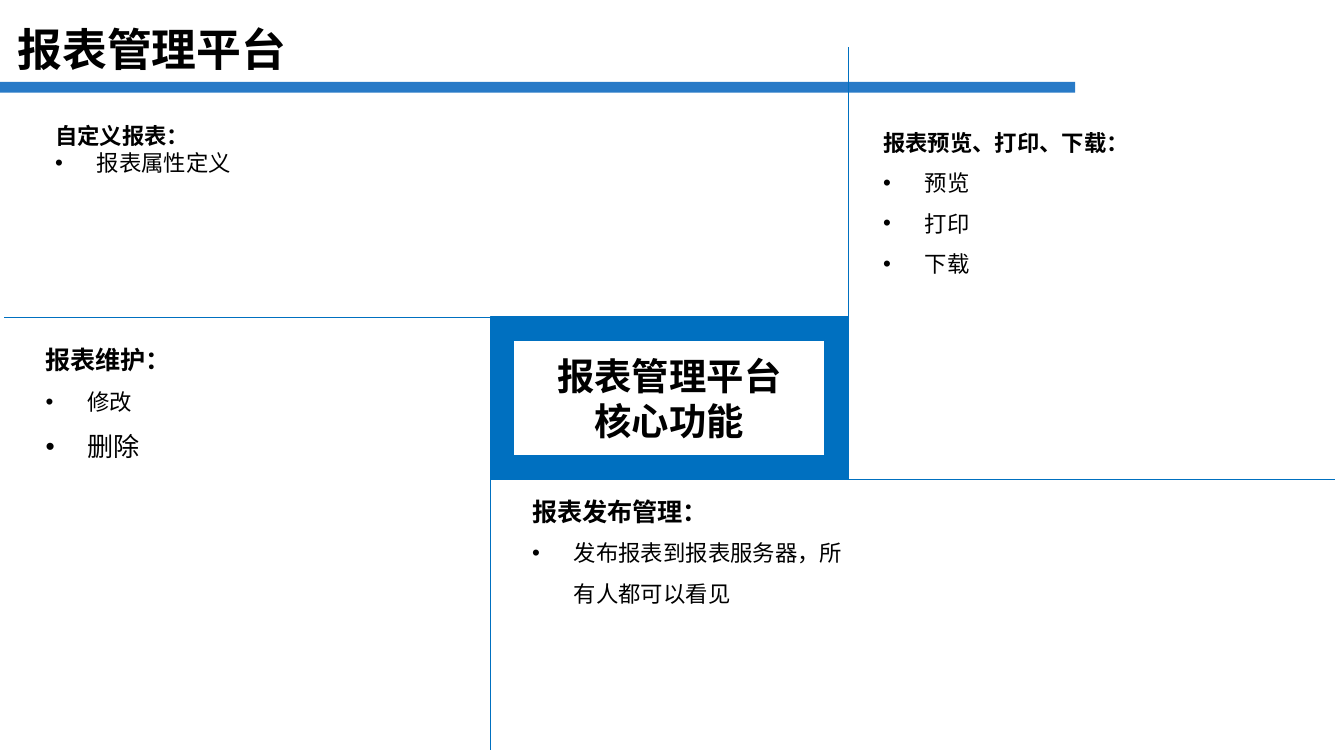
"""Build the report platform slide with four function areas around a core box."""
from dataclasses import dataclass

from lxml import etree
from pptx import Presentation
from pptx.dml.color import RGBColor
from pptx.enum.shapes import MSO_CONNECTOR, MSO_SHAPE
from pptx.enum.text import MSO_ANCHOR, MSO_AUTO_SIZE, PP_ALIGN
from pptx.oxml.ns import qn
from pptx.util import Inches, Pt

RECTANGLE, STRAIGHT = MSO_SHAPE.RECTANGLE, MSO_CONNECTOR.STRAIGHT
TOP, MIDDLE = MSO_ANCHOR.TOP, MSO_ANCHOR.MIDDLE
LEFT, CENTER = PP_ALIGN.LEFT, PP_ALIGN.CENTER
NO_AUTOFIT = MSO_AUTO_SIZE.NONE

WIDTH = 10
HEIGHT = WIDTH * 9 / 16
BLUE, BAR_BLUE, WHITE, BLACK = "0070C0", "287AC7", "FFFFFF", "000000"
LATIN, CHINESE = "Calibri", "Noto Sans CJK SC"
CORE_LEFT, CORE_TOP, CORE_WIDTH, CORE_HEIGHT = 3.65, 2.36, 2.66, 1.2
CORE_RIGHT, CORE_BOTTOM = CORE_LEFT + CORE_WIDTH, 3.57
BORDER = 0.17
INDENT = 0.31
ARM_ACROSS, ARM_DOWN = 6.28, 3.22


@dataclass
class Line:
    text: str
    size: float = 12
    spacing: float = 1.5
    bold: bool = False
    bullet: bool = True
    align: int = LEFT
    font: str = LATIN


@dataclass
class Area:
    box: tuple[float, float, float, float]
    lines: list[Line]


def heading(text: str, size: float = 12, spacing: float = 1.5, **options) -> Line:
    """Return a bold line without a bullet."""
    return Line(text, size, spacing, bold=True, bullet=False, **options)


AREAS = [
    Area((0.31, 0.86, 5.6, 0.5),
         [heading("自定义报表：", spacing=1), Line("报表属性定义", spacing=1)]),
    Area((6.47, 0.81, 2.64, 1.31),
         [heading("报表预览、打印、下载："), Line("预览"), Line("打印"), Line("下载")]),
    Area((0.24, 2.4, 2.64, 1.3),
         [heading("报表维护：", 13.5), Line("修改"), Line("删除", 14)]),
    Area((3.86, 3.64, 2.64, 1.16),
         [heading("报表发布管理：", 13.5, 1), Line("发布报表到报表服务器，所有人都可以看见")]),
]


def color(value: str) -> RGBColor:
    """Return the colour for a hex string."""
    return RGBColor.from_string(value)


def apply(target, values: dict) -> None:
    """Set every attribute named in the dict."""
    for name, value in values.items():
        setattr(target, name, value)


def place(shape, box: tuple[float, float, float, float]) -> None:
    """Move and size a shape in inches."""
    apply(shape, dict(zip(("left", "top", "width", "height"), map(Inches, box))))


def write(shape, lines: list[Line], anchor: int) -> None:
    """Fill a shape with formatted paragraphs."""
    frame = shape.text_frame
    apply(frame, {"word_wrap": True, "auto_size": NO_AUTOFIT, "vertical_anchor": anchor})
    for index, line in enumerate(lines):
        paragraph = frame.add_paragraph() if index else frame.paragraphs[0]
        apply(paragraph, {"alignment": line.align, "line_spacing": line.spacing,
                          "space_before": Pt(0), "space_after": Pt(0)})
        run = paragraph.add_run()
        run.text = line.text
        apply(run.font, {"size": Pt(line.size), "bold": line.bold, "name": line.font})
        run.font.color.rgb = color(BLACK)
        etree.SubElement(run.font._element, qn("a:ea"), typeface=CHINESE)
        properties = paragraph._p.get_or_add_pPr()
        indent = Inches(INDENT) if line.bullet else 0
        properties.set("marL", str(indent))
        properties.set("indent", str(-indent))
        if line.bullet:
            etree.SubElement(properties, qn("a:buFont"), typeface="Arial")
            etree.SubElement(properties, qn("a:buChar"), char="•")
        else:
            etree.SubElement(properties, qn("a:buNone"))


def add_block(shapes, box: tuple[float, float, float, float], fill: str, outline: str | None = None):
    """Add a flat rectangle."""
    block = shapes.add_shape(RECTANGLE, *map(Inches, box))
    block.shadow.inherit = False
    block.fill.solid()
    block.fill.fore_color.rgb = color(fill)
    if outline:
        block.line.color.rgb = color(outline)
        block.line.width = Pt(1)
    else:
        block.line.fill.background()
    return block


def add_divider(shapes, ends: tuple[float, float, float, float]) -> None:
    """Add a thin line between two points."""
    divider = shapes.add_connector(STRAIGHT, *map(Inches, ends))
    divider.line.color.rgb = color(BLUE)
    divider.line.width = Pt(0.5)
    etree.SubElement(divider._element.spPr, qn("a:effectLst"))


def main() -> None:
    """Build and save the slide."""
    deck = Presentation()
    apply(deck, {"slide_width": Inches(WIDTH), "slide_height": Inches(HEIGHT)})
    slide = deck.slides.add_slide(deck.slide_layouts.get_by_name("Comparison"))
    shapes = slide.shapes

    add_block(shapes, (0, 0.61, 0.8 * WIDTH, 0.08), BAR_BLUE)
    add_block(shapes, (CORE_LEFT, CORE_TOP, CORE_WIDTH, CORE_HEIGHT), BLUE, BLUE)
    core = add_block(shapes, (CORE_LEFT + BORDER, CORE_TOP + BORDER,
                              CORE_WIDTH - 2 * BORDER, CORE_HEIGHT - 2 * BORDER), WHITE, BLUE)
    write(core, [heading(text, 20, 1, align=CENTER) for text in ("报表管理平台", "核心功能")], MIDDLE)

    for ends in (
        (CORE_RIGHT, CORE_BOTTOM, CORE_RIGHT, CORE_BOTTOM - ARM_DOWN),
        (CORE_LEFT, CORE_TOP + ARM_DOWN, CORE_LEFT, CORE_TOP),
        (CORE_LEFT, CORE_BOTTOM, CORE_LEFT + ARM_ACROSS, CORE_BOTTOM),
        (CORE_RIGHT - ARM_ACROSS, CORE_TOP, CORE_RIGHT, CORE_TOP),
    ):
        add_divider(shapes, ends)

    title, *bodies = slide.placeholders
    place(title, (0.03, 0.13, 4.52, 0.52))
    write(title, [heading("报表管理平台", 24, 0.9, font=CHINESE)], MIDDLE)
    for body, area in zip(bodies, AREAS):
        place(body, area.box)
        write(body, area.lines, TOP)

    deck.save("out.pptx")


main()
